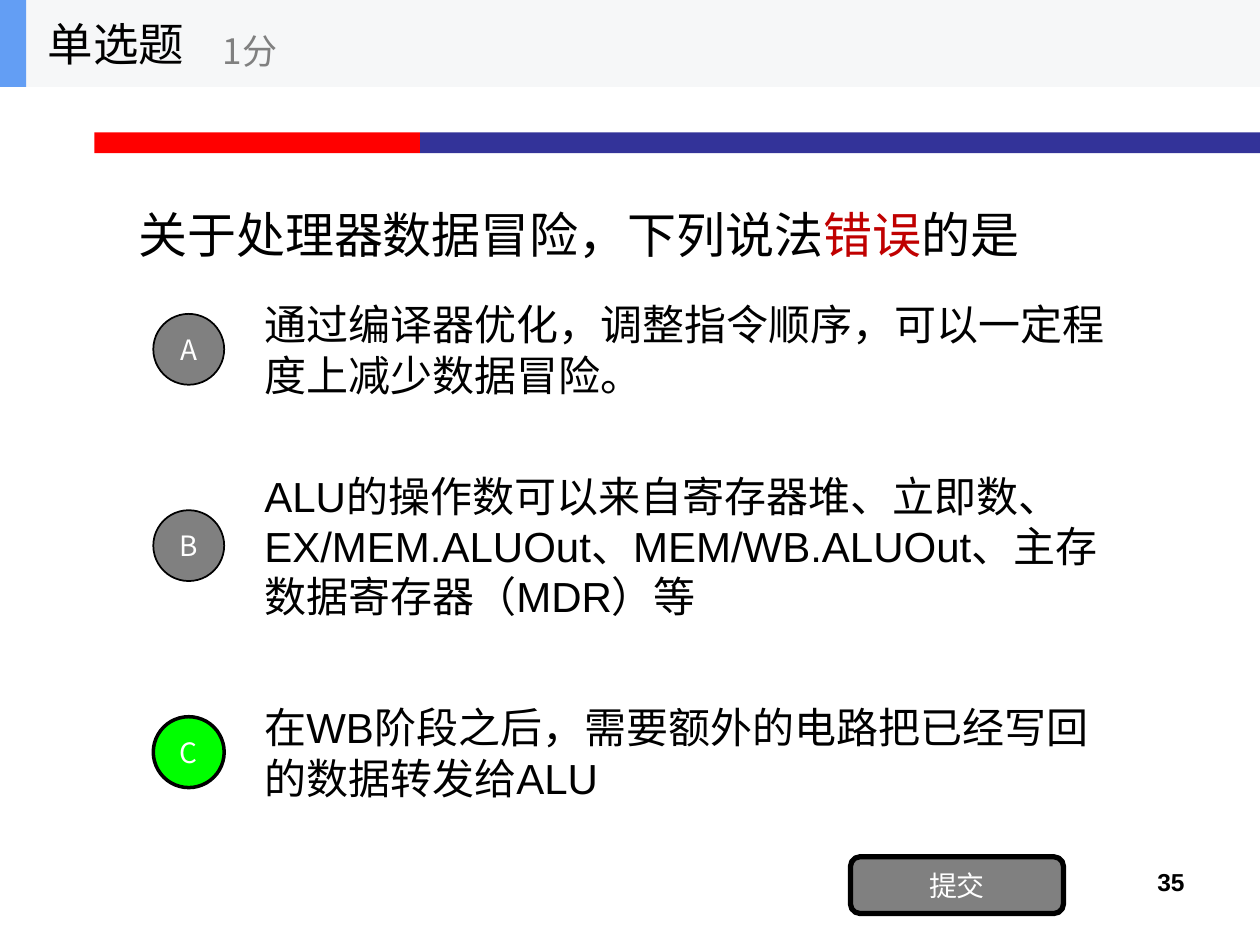
"""Build a single-choice quiz slide on processor data hazards."""
import pptx
import pptx.dml.color
import pptx.enum.shapes
import pptx.enum.text
import pptx.oxml.ns
import pptx.util
from lxml import etree

Pt = pptx.util.Pt
SHAPE = pptx.enum.shapes.MSO_SHAPE
ANCHOR = pptx.enum.text.MSO_ANCHOR
ALIGN = pptx.enum.text.PP_ALIGN
CJK = "Noto Sans CJK SC"
COLORS = {
    "black": "000000", "white": "FFFFFF", "gray": "808080", "red": "FF0000",
    "navy": "333399", "emphasis": "C00000", "correct": "00FF00",
    "header": "F6F7F8", "accent": "639EF4",
}
OPTIONS = [
    ("A", "通过编译器优化，调整指令顺序，可以一定程度上减少数据冒险。", 174.4, "gray", 1),
    ("B", "ALU的操作数可以来自寄存器堆、立即数、EX/MEM.ALUOut、MEM/WB.ALUOut、"
          "主存数据寄存器（MDR）等", 286.6, "gray", 1),
    ("C", "在WB阶段之后，需要额外的电路把已经写回的数据转发给ALU", 404.6, "correct", 2),
]


def rgb(name):
    """Return the named colour."""
    return pptx.dml.color.RGBColor.from_string(COLORS[name])


def write(shape, text, size=24, font="Arial", color="black", bold=False,
          align=ALIGN.LEFT, anchor=ANCHOR.MIDDLE, spacing=None, margin=None):
    """Fill a shape with text, given as a string or (string, colour) pairs."""
    frame = shape.text_frame
    frame.word_wrap = True
    frame.vertical_anchor = anchor
    if margin is not None:
        frame.margin_left = frame.margin_right = Pt(margin)
        frame.margin_top = frame.margin_bottom = Pt(margin)
    paragraph = frame.paragraphs[0]
    paragraph.alignment = align
    if spacing:
        paragraph.line_spacing = Pt(spacing)
    for part, tint in [(text, color)] if isinstance(text, str) else text:
        run = paragraph.add_run()
        run.text = part
        run.font.size = Pt(size)
        run.font.name = font
        run.font.bold = bold
        run.font.color.rgb = rgb(tint)
        east_asian = etree.SubElement(run.font._element, pptx.oxml.ns.qn("a:ea"))
        east_asian.set("typeface", CJK)


def add_text(slide, box, text, **style):
    """Add a text box at box (left, top, width, height)."""
    write(slide.shapes.add_textbox(*map(Pt, box)), text, **style)


def add_block(slide, kind, box, fill, line=None):
    """Add a filled shape, outlined in black when a line width is given."""
    block = slide.shapes.add_shape(kind, *map(Pt, box))
    block.shadow.inherit = False
    block.fill.solid()
    block.fill.fore_color.rgb = rgb(fill)
    if line:
        block.line.color.rgb = rgb("black")
        block.line.width = Pt(line)
    else:
        block.line.fill.background()
    return block


def add_button(slide, kind, box, label, fill, line):
    """Add an outlined shape with a centred white label."""
    button = add_block(slide, kind, box, fill, line)
    write(button, label, size=16, font=CJK, color="white", align=ALIGN.CENTER, margin=0)


def add_option(slide, letter, answer, middle, fill, line):
    """Add an answer and its letter circle, both centred on middle."""
    diameter, height = 40.5, 50.4
    add_text(slide, (144, middle + 25 - height, 504, height), answer, spacing=28.8)
    circle = (87.6, middle + 25 - (height + diameter) / 2, diameter, diameter)
    add_button(slide, SHAPE.OVAL, circle, letter, fill, line)


def add_header(slide):
    """Add the question type bar and its score."""
    height = 49.7
    add_block(slide, SHAPE.RECTANGLE, (0, 0, 720, height), "header")
    add_block(slide, SHAPE.RECTANGLE, (0, 0, 15, height), "accent")
    add_text(slide, (20.2, 0, 150, height), "单选题", size=26, font=CJK)
    add_text(slide, (120.2, 8.6, 180, 40.3), "1分", size=20, font=CJK, color="gray")


def main():
    """Build and save the slide."""
    deck = pptx.Presentation()
    deck.slide_width, deck.slide_height = Pt(720), Pt(540)
    slide = deck.slides.add_slide(deck.slide_layouts[6])
    add_block(slide, SHAPE.RECTANGLE, (54, 75.6, 186, 12), "red")
    add_block(slide, SHAPE.RECTANGLE, (240, 75.6, 480, 12), "navy")
    add_text(slide, (516, 491.8, 168, 37.4), "35", size=14, bold=True,
             align=ALIGN.RIGHT, anchor=ANCHOR.TOP)
    question = [("关于处理器数据冒险，下列说法", "black"), ("错误", "emphasis"), ("的是", "black")]
    add_text(slide, (72, 49.7, 576, 168.5), question, size=28)
    for letter, answer, top, fill, line in OPTIONS:
        add_option(slide, letter, answer, top + 25.4, fill, line)
    add_button(slide, SHAPE.ROUNDED_RECTANGLE, (486, 489.6, 121.7, 32.4), "提交", "gray", 3)
    add_header(slide)
    deck.save("out.pptx")


if __name__ == "__main__":
    main()
